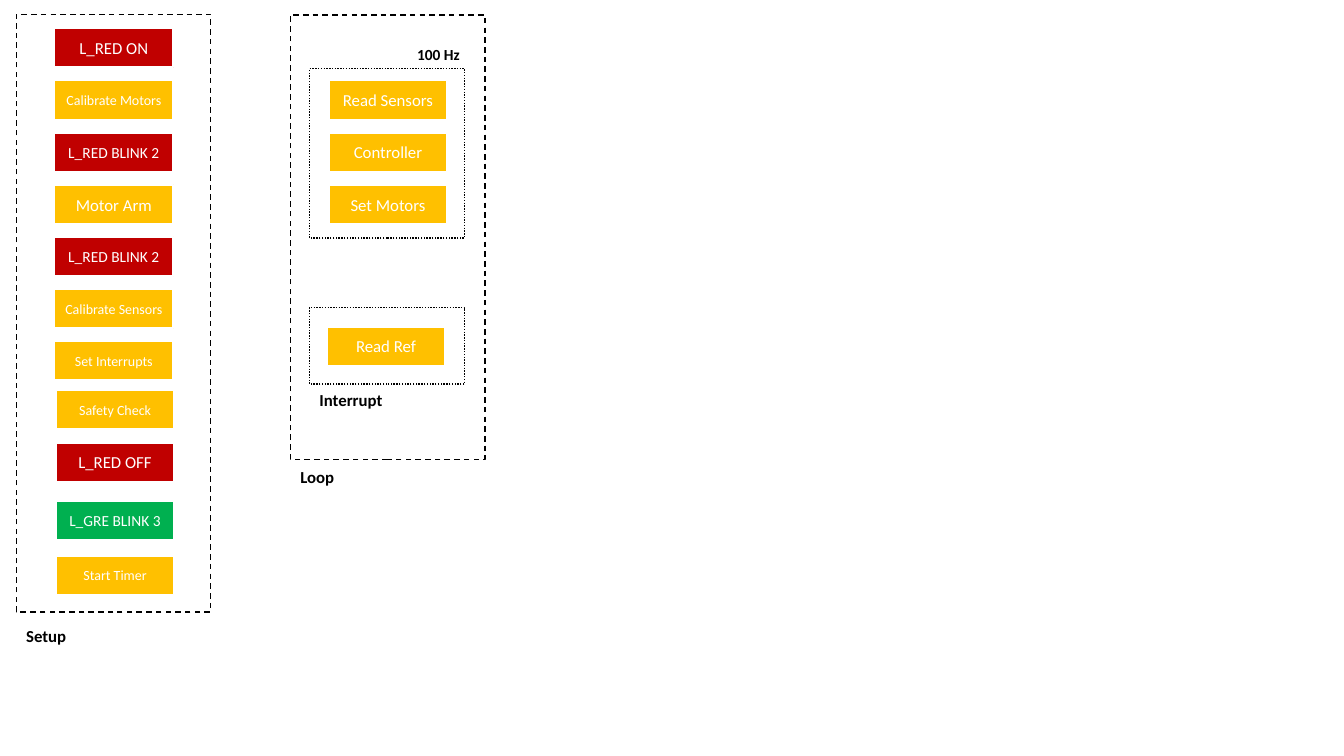
"""Build a flow slide of the setup and loop stages of a motor controller."""
from pptx import Presentation
from pptx.dml.color import RGBColor
from pptx.enum.dml import MSO_LINE
from pptx.enum.shapes import MSO_SHAPE
from pptx.enum.text import MSO_ANCHOR, PP_ALIGN
from pptx.util import Cm, Pt

RECTANGLE = MSO_SHAPE.RECTANGLE
DASH, DOT = MSO_LINE.DASH, MSO_LINE.ROUND_DOT
MIDDLE, CENTER = MSO_ANCHOR.MIDDLE, PP_ALIGN.CENTER
WHITE = RGBColor(0xFF, 0xFF, 0xFF)
BLACK = RGBColor(0x00, 0x00, 0x00)
AMBER = RGBColor(0xFF, 0xC0, 0x00)
RED = RGBColor(0xC0, 0x00, 0x00)
GREEN = RGBColor(0x00, 0xB0, 0x50)
FONT = "Calibri"
STEP_WIDTH, STEP_HEIGHT = 3, 0.99
FIRST_TOP, ROW_PITCH = 0.71, 1.315
SETUP_LEFT, LOWER_SETUP_LEFT, LOOP_LEFT = 1.37, 1.4, 8.28


def write_text(shape, text, size, color, bold=False):
    paragraph = shape.text_frame.paragraphs[0]
    paragraph.text = text
    paragraph.font.name = FONT
    paragraph.font.size = Pt(size)
    paragraph.font.bold = bold
    paragraph.font.color.rgb = color
    return paragraph


presentation = Presentation()
presentation.slide_width = Cm(33.87)
presentation.slide_height = Cm(19.05)
slide = presentation.slides.add_slide(presentation.slide_layouts[6])

frames = [
    (0.41, 0.36, 4.9, 15.06, DASH),
    (7.32, 0.38, 4.9, 11.2, DASH),
    (7.8, 1.73, 3.91, 4.27, DOT),
    (7.8, 7.75, 3.91, 1.93, DOT),
]
for left, top, width, height, dash in frames:
    frame = slide.shapes.add_shape(RECTANGLE, Cm(left), Cm(top), Cm(width), Cm(height))
    frame.shadow.inherit = False
    frame.fill.background()
    frame.line.color.rgb = BLACK
    frame.line.width = Pt(1)
    frame.line.dash_style = dash

setup_rows = [
    ("L_RED ON", 12, RED),
    ("Calibrate Motors", 10, AMBER),
    ("L_RED BLINK 2", 11, RED),
    ("Motor Arm", 12, AMBER),
    ("L_RED BLINK 2", 11, RED),
    ("Calibrate Sensors", 10, AMBER),
    ("Set Interrupts", 10, AMBER),
]
loop_rows = ["Read Sensors", "Controller", "Set Motors"]
steps = [
    (SETUP_LEFT, FIRST_TOP + row * ROW_PITCH, text, size, color)
    for row, (text, size, color) in enumerate(setup_rows)
]
steps += [
    (LOWER_SETUP_LEFT, 9.83, "Safety Check", 10, AMBER),
    (LOWER_SETUP_LEFT, 11.15, "L_RED OFF", 12, RED),
    (LOWER_SETUP_LEFT, 12.62, "L_GRE BLINK 3", 11, GREEN),
    (LOWER_SETUP_LEFT, 14, "Start Timer", 10, AMBER),
]
steps += [
    (LOOP_LEFT, FIRST_TOP + row * ROW_PITCH, text, 12, AMBER)
    for row, text in enumerate(loop_rows, start=1)
]
steps.append((8.23, 8.23, "Read Ref", 12, AMBER))

for left, top, text, size, color in steps:
    step = slide.shapes.add_shape(
        RECTANGLE, Cm(left), Cm(top), Cm(STEP_WIDTH), Cm(STEP_HEIGHT)
    )
    step.shadow.inherit = False
    step.fill.solid()
    step.fill.fore_color.rgb = color
    step.line.color.rgb = WHITE
    step.line.width = Pt(1.5)
    step.text_frame.word_wrap = False
    step.text_frame.vertical_anchor = MIDDLE
    write_text(step, text, size, WHITE).alignment = CENTER

labels = [
    (0.41, 15.65, "Setup", 12),
    (7.32, 11.63, "Loop", 12),
    (7.8, 9.7, "Interrupt", 12),
    (10.26, 1.02, "100 Hz", 11),
]
for left, top, text, size in labels:
    label = slide.shapes.add_textbox(Cm(left), Cm(top), Cm(2.8), Cm(0.76))
    label.text_frame.word_wrap = True
    write_text(label, text, size, BLACK, bold=True)

presentation.save("out.pptx")
